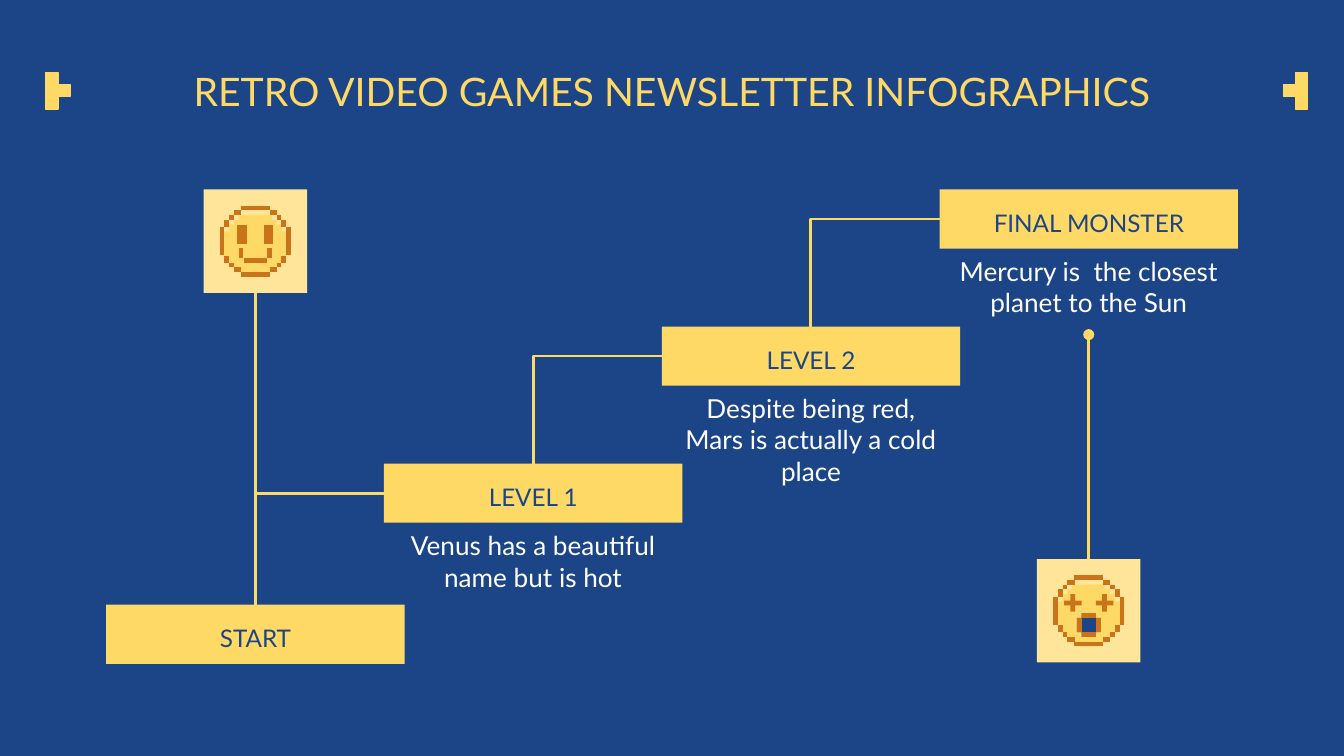
from lxml.etree import SubElement
from pptx import Presentation
from pptx.dml.color import RGBColor
from pptx.enum.shapes import MSO_CONNECTOR as Link, MSO_SHAPE as Preset
from pptx.enum.text import MSO_ANCHOR as Anchor, MSO_AUTO_SIZE as AutoSize, PP_ALIGN as Align
from pptx.oxml.ns import qn
from pptx.util import Inches, Pt

BLUE, YELLOW, CREAM, BROWN, WHITE = "1C4587", "FFD966", "FFE599", "C9741B", "FFFFFF"
TOP, LEFT, BOTTOM = 0, 1, 2

# The slide grid has 100 columns and 56.25 rows of square cells.
CELL = Inches(0.1)
BOX_W, BOX_H = 22.2, 4.4
TILE = 7.7
FACE = 5.3
PIXELS = 15  # pixels along each side of a face


def color(hex_code):
    return RGBColor.from_string(hex_code)


def cells(*counts):
    return [round(count * CELL) for count in counts]


def brick(x, y, w, h):
    return [(x, y), (x, y + h), (x + w, y + h), (x + w, y)]


def flip_x(points):
    return [(PIXELS - x, y) for x, y in reversed(points)]


def flip_y(points):
    return [(x, PIXELS - y) for x, y in reversed(points)]


class Board:
    """Holds the shared style and the slide being drawn."""
    font = "Lato"
    line_width = 1.5

    def __init__(self, deck):
        self.slide = deck.slides.add_slide(deck.slide_layouts[5])
        self.shapes = self.slide.shapes
        fill = self.slide.background.fill
        fill.solid()
        fill.fore_color.rgb = color(BLUE)

    def set_text(self, shape, text, size, ink, anchor, insets, space_after=0):
        """Fill a shape with text; insets run left, top, right, bottom in cells."""
        frame = shape.text_frame
        frame.word_wrap = True
        frame.auto_size = AutoSize.NONE
        frame.vertical_anchor = anchor
        (frame.margin_left, frame.margin_top,
         frame.margin_right, frame.margin_bottom) = cells(*insets)
        paragraph = frame.paragraphs[0]
        paragraph.alignment = Align.CENTER
        paragraph.space_after = Pt(space_after)
        run = paragraph.add_run()
        run.text = text
        run.font.name = self.font
        run.font.size = Pt(size)
        run.font.color.rgb = color(ink)

    def title(self, text, x, y, w, h):
        heading = self.shapes.title
        heading.left, heading.top, heading.width, heading.height = cells(x, y, w, h)
        self.set_text(heading, text, 21, YELLOW, Anchor.BOTTOM, (1, 1, 1, 1))

    def block(self, x, y, w, h, fill):
        block = self.shapes.add_shape(Preset.RECTANGLE, *cells(x, y, w, h))
        block.shadow.inherit = False
        block.fill.solid()
        block.fill.fore_color.rgb = color(fill)
        block.line.fill.background()
        return block

    def label(self, text, x, y):
        label = self.block(x, y, BOX_W, BOX_H, YELLOW)
        self.set_text(label, text, 13, BLUE, Anchor.MIDDLE, (0, 0.5, 0, 0))
        return label

    def caption(self, text, x, y):
        caption = self.shapes.add_textbox(*cells(x, y, BOX_W, 6.9))
        self.set_text(caption, text, 14, WHITE, Anchor.TOP, (1, 1, 1, 1), 16)
        return caption

    def link(self, start, start_side, end, end_side, bent=False, dot=False):
        """Join two shapes; a bent link leaves sideways and arrives from above."""
        kind = Link.ELBOW if bent else Link.STRAIGHT
        link = self.shapes.add_connector(kind, start.left, start.top, end.left, end.top)
        link.begin_connect(start, start_side)
        link.end_connect(end, end_side)
        link.line.color.rgb = color(YELLOW)
        link.line.width = Pt(self.line_width)
        properties = link.element.spPr
        if bent:
            properties.find(qn("a:prstGeom")).set("prst", "bentConnector2")
        if dot:
            SubElement(properties.find(qn("a:ln")), qn("a:headEnd"), type="oval")
        SubElement(properties, qn("a:effectLst"))

    def polygon(self, group, points, fill, x=0, y=0, unit=1, outline=0):
        """Draw a closed outline whose points are counted in units from x, y."""
        corners = [cells(x + px * unit, y + py * unit) for px, py in points]
        builder = group.shapes.build_freeform(*corners[0], scale=1.0)
        builder.add_line_segments(corners[1:], close=True)
        piece = builder.convert_to_shape()
        piece.shadow.inherit = False
        piece.fill.solid()
        piece.fill.fore_color.rgb = color(fill)
        if outline:
            piece.line.color.rgb = color(fill)
            piece.line.width = Pt(outline)
        else:
            piece.line.fill.background()

    def marker(self, spine, nub):
        """Four pixels beside the title: a spine of three and a nub."""
        group = self.shapes.add_group_shape()
        side = 0.9
        for x, row in ((spine, 0), (spine, 1), (spine, 2), (nub, 1)):
            pixel = brick(x, 5.4 + row * side, side, side)
            self.polygon(group, pixel, YELLOW, outline=0.75)

    def face(self, tile_x, tile_y, features):
        group = self.shapes.add_group_shape()
        margin = (TILE - FACE) / 2
        place = dict(x=tile_x + margin, y=tile_y + margin, unit=FACE / PIXELS)
        steps = [(4.5, 0), (4.5, 1), (3, 1), (3, 2), (2, 2), (2, 3), (1, 3), (1, 4.5), (0, 4.5)]
        left_side = steps + flip_y(steps)
        shine = steps + [(0, 5.5), (2, 5.5), (2, 4), (3, 4), (3, 3), (4, 3), (4, 2)]
        self.polygon(group, left_side + flip_x(left_side), YELLOW, **place)
        self.polygon(group, shine + flip_x(shine), CREAM, **place)

        corner = [brick(3, 1, 1.5, 1), brick(2, 2, 1, 1), brick(1, 3, 1, 1.5)]
        left_rim = corner + [flip_y(part) for part in corner] + [brick(0, 4.5, 1, 6)]
        crown = brick(4.5, 0, 6, 1)
        rim = left_rim + [flip_x(part) for part in left_rim] + [crown, flip_y(crown)]
        for points, fill in [(part, BROWN) for part in rim] + features:
            self.polygon(group, points, fill, **place)


def main():
    deck = Presentation()
    deck.slide_width, deck.slide_height = Inches(10), Inches(5.625)
    board = Board(deck)
    board.title("RETRO VIDEO GAMES NEWSLETTER INFOGRAPHICS", 3.4, 3.2, 93.2, 6.3)
    board.marker(spine=3.4, nub=4.3)
    board.marker(spine=96.4, nub=95.5)

    first_x, last_y = 7.9, 14.1
    step_x, step_y = 20.67, 10.2
    finish_x = first_x + 3 * step_x
    tile_inset = (BOX_W - TILE) / 2
    hero_at = first_x + tile_inset, last_y
    monster_at = finish_x + tile_inset, 41.6
    monster_tile = board.block(*monster_at, TILE, TILE, CREAM)
    hero_tile = board.block(*hero_at, TILE, TILE, CREAM)

    start = board.label("START", first_x, 45)
    stages = [start]
    levels = [
        ("LEVEL 1", "Venus has a beautiful name but is hot"),
        ("LEVEL 2", "Despite being red, Mars is actually a cold place"),
        ("FINAL MONSTER", "Mercury is  the closest planet to the Sun"),
    ]
    for number, (name, fact) in enumerate(levels, 1):
        x, y = first_x + number * step_x, last_y + (3 - number) * step_y
        stages.append(board.label(name, x, y))
        last_fact = board.caption(fact, x, y + 3.9)

    for lower, upper in zip(stages, stages[1:]):
        board.link(upper, LEFT, lower, TOP, bent=True)
    board.link(start, TOP, hero_tile, BOTTOM)
    board.link(last_fact, BOTTOM, monster_tile, TOP, dot=True)

    eye, smile_end = brick(3.7, 4, 2, 4), brick(4, 9, 1, 2)
    smile = [eye, flip_x(eye), smile_end, flip_x(smile_end), brick(5, 11, 5, 1)]
    board.face(*hero_at, [(part, BROWN) for part in smile])

    cross = [(3.65, 4), (3.65, 5.35), (2.3, 5.35), (2.3, 6.35), (3.65, 6.35), (3.65, 7.7),
             (4.65, 7.7), (4.65, 6.35), (6, 6.35), (6, 5.35), (4.65, 5.35), (4.65, 4)]
    mouth_left = [(6, 8), (6, 9), (5, 9), (5, 12), (6, 12), (6, 13)]
    lip = brick(5, 9, 1, 3)
    dizzy = [cross, flip_x(cross), lip, flip_x(lip), brick(6, 12, 3, 1), brick(6, 8, 3, 1)]
    mouth = mouth_left + flip_x(mouth_left)
    board.face(*monster_at, [(mouth, BLUE)] + [(part, BROWN) for part in dizzy])

    deck.save("out.pptx")


if __name__ == "__main__":
    main()
